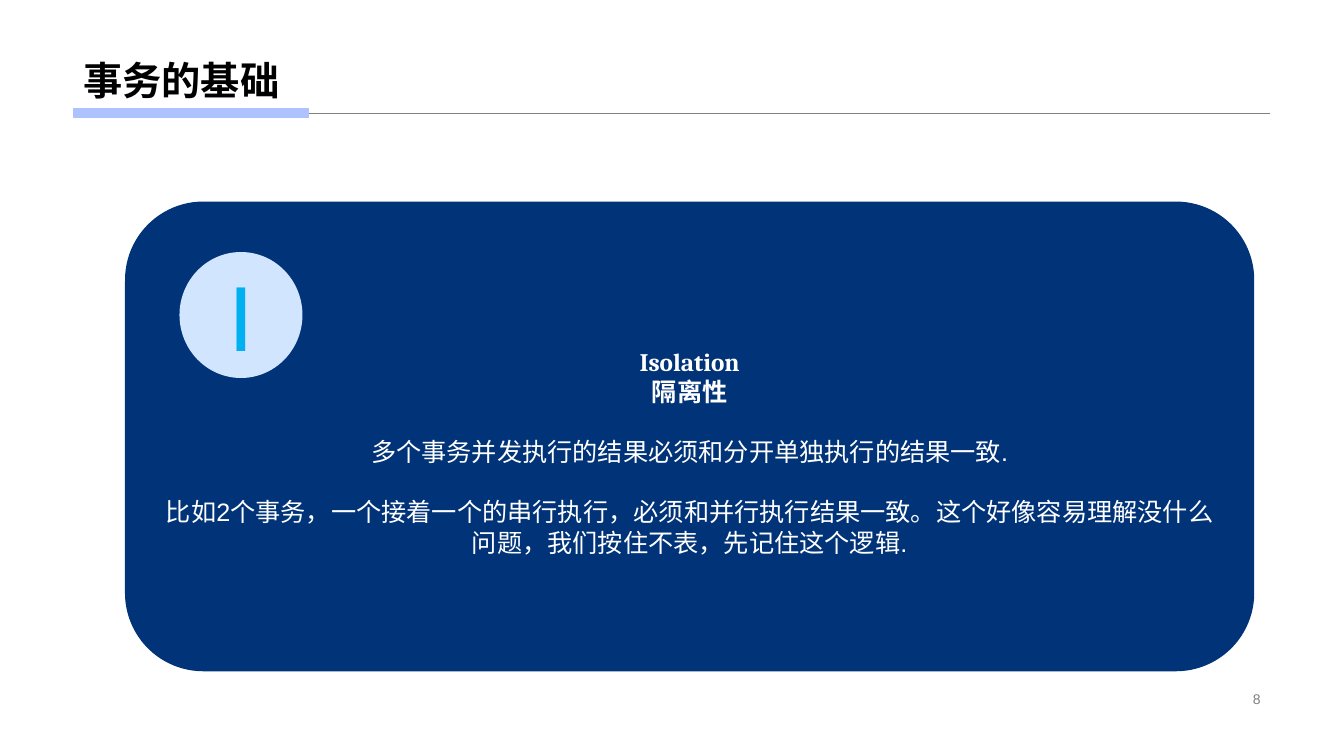
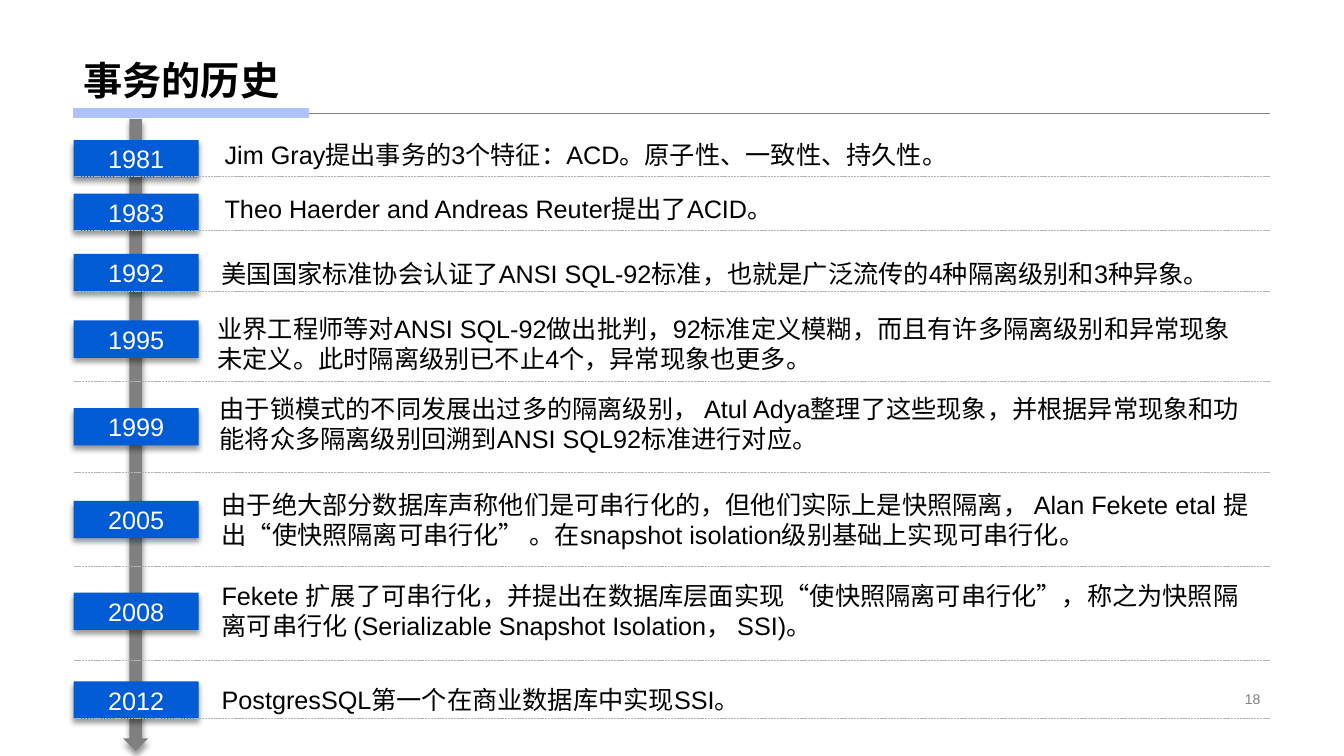
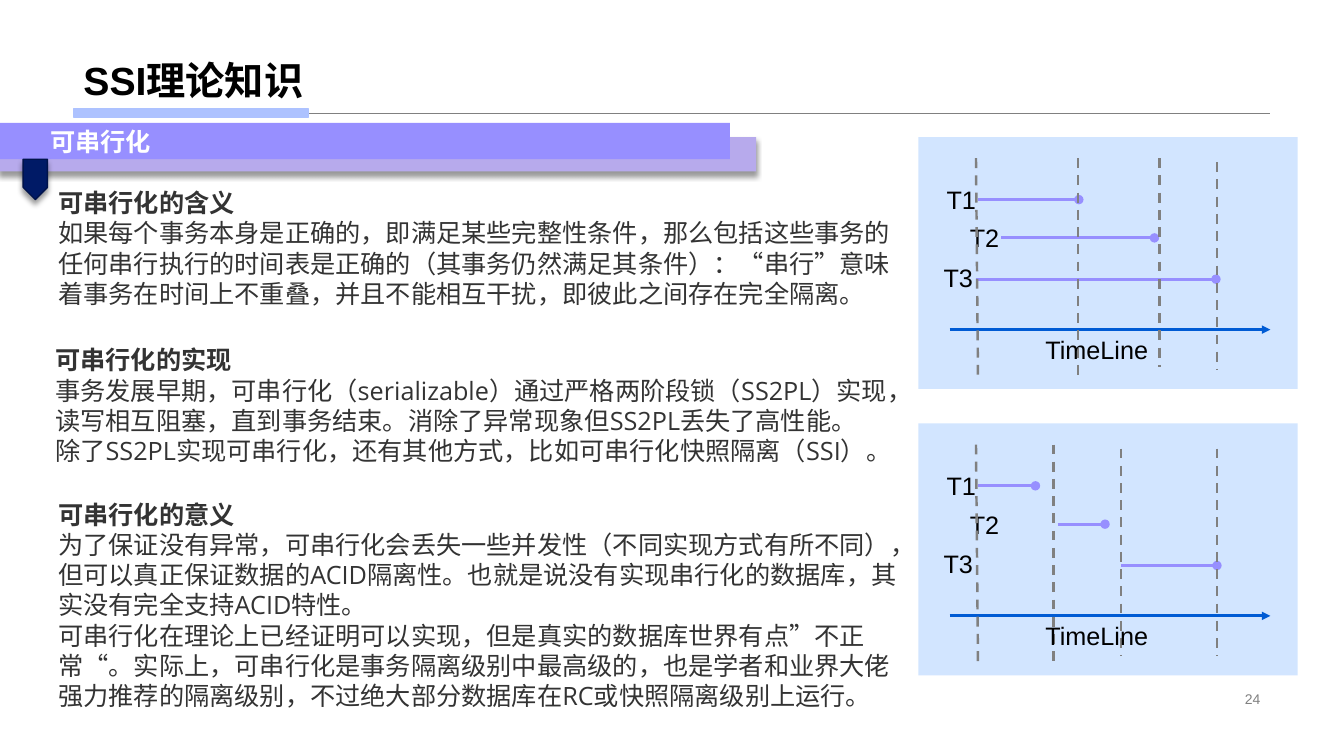
from dataclasses import dataclass

from lxml import etree
from pptx import Presentation
from pptx.dml.color import RGBColor
from pptx.enum.dml import MSO_LINE
from pptx.enum.shapes import MSO_CONNECTOR, MSO_SHAPE
from pptx.enum.text import MSO_ANCHOR, PP_ALIGN
from pptx.oxml.ns import qn
from pptx.util import Inches, Pt

RECT, ROUND_RECT, OVAL = MSO_SHAPE.RECTANGLE, MSO_SHAPE.ROUNDED_RECTANGLE, MSO_SHAPE.OVAL
DOWN_ARROW, PENTAGON = MSO_SHAPE.DOWN_ARROW, MSO_SHAPE.PENTAGON
STRAIGHT = MSO_CONNECTOR.STRAIGHT
DASH, FINE_DASH = MSO_LINE.DASH, MSO_LINE.SQUARE_DOT
TOP, MIDDLE, BOTTOM = MSO_ANCHOR.TOP, MSO_ANCHOR.MIDDLE, MSO_ANCHOR.BOTTOM
LEFT, CENTER, RIGHT = PP_ALIGN.LEFT, PP_ALIGN.CENTER, PP_ALIGN.RIGHT


@dataclass(frozen=True)
class Theme:
    black: str = "000000"
    white: str = "FFFFFF"
    grey: str = "808080"
    pale_grey: str = "B4B4B4"
    body: str = "333333"
    accent: str = "ADC2FF"
    blue: str = "005BD4"
    navy: str = "003378"
    pale_blue: str = "D2E5FF"
    cyan: str = "00B0F0"
    violet: str = "978FFF"
    pale_violet: str = "B7AAEC"
    marker: str = "001A66"
    marker_edge: str = "00134B"
    font: str = "Arial"
    serif: str = "Cambria"
    body_font: str = "Open Sans"
    title_size: int = 28
    text_size: int = 18
    number_size: int = 10
    letter_size: int = 66
    left: float = 0.73
    right: float = 12.6


THEME = Theme()
CONTENT_WIDTH = THEME.right - THEME.left

HISTORY = [  # year, tag top, rule height, text left, text top, event
    ("1981", 1.39, 1.75, 2.13, 1.33,
     "Jim Gray提出事务的3个特征：ACD。原子性、一致性、持久性。"),
    ("1983", 1.92, 2.29, 2.13, 1.87,
     "Theo Haerder and Andreas Reuter提出了ACID。"),
    ("1992", 2.52, 2.89, 2.1, 2.51,
     "美国国家标准协会认证了ANSI SQL-92标准，也就是广泛流传的4种隔离级别和3种异象。"),
    ("1995", 3.18, 3.78, 2.06, 3.06,
     "业界工程师等对ANSI SQL-92做出批判，92标准定义模糊，而且有许多隔离级别和异常现象未定义。"
     "此时隔离级别已不止4个，异常现象也更多。"),
    ("1999", 4.05, 4.69, 2.08, 3.85,
     "由于锁模式的不同发展出过多的隔离级别， Atul Adya整理了这些现象，"
     "并根据异常现象和功能将众多隔离级别回溯到ANSI SQL92标准进行对应。"),
    ("2005", 4.97, 5.62, 2.1, 4.8,
     "由于绝大部分数据库声称他们是可串行化的，但他们实际上是快照隔离， Alan Fekete etal "
     "提出“使快照隔离可串行化” 。在snapshot isolation级别基础上实现可串行化。"),
    ("2008", 5.88, 6.55, 2.1, 5.71,
     "Fekete 扩展了可串行化，并提出在数据库层面实现“使快照隔离可串行化”，"
     "称之为快照隔离可串行化 (Serializable Snapshot Isolation， SSI)。"),
    ("2012", 6.76, 7.13, 2.1, 6.74,
     "PostgresSQL第一个在商业数据库中实现SSI。"),
]

SECTIONS = [  # left, top, height, heading, paragraphs
    (0.48, 1.81, 1.62, "可串行化的含义", [
        "如果每个事务本身是正确的，即满足某些完整性条件，那么包括这些事务的任何串行执行的时间表"
        "是正确的（其事务仍然满足其条件）：“串行”意味着事务在时间上不重叠，并且不能相互干扰，"
        "即彼此之间存在完全隔离。"]),
    (0.45, 3.37, 1.32, "可串行化的实现", [
        "事务发展早期，可串行化（serializable）通过严格两阶段锁（SS2PL）实现，读写相互阻塞，"
        "直到事务结束。消除了异常现象但SS2PL丢失了高性能。",
        "除了SS2PL实现可串行化，还有其他方式，比如可串行化快照隔离（SSI）。"]),
    (0.48, 4.9, 2.22, "可串行化的意义", [
        "为了保证没有异常，可串行化会丢失一些并发性（不同实现方式有所不同），但可以真正保证数据的"
        "ACID隔离性。也就是说没有实现串行化的数据库，其实没有完全支持ACID特性。",
        "可串行化在理论上已经证明可以实现，但是真实的数据库世界有点”不正常“。实际上，可串行化是"
        "事务隔离级别中最高级的，也是学者和业界大佬强力推荐的隔离级别，不过绝大部分数据库在RC"
        "或快照隔离级别上运行。"]),
]

TRANSACTIONS = [  # label, label left, label offset, bar offset
    ("T1", 9.29, 0.42, 0.62),
    ("T2", 9.52, 0.8, 1.0),
    ("T3", 9.26, 1.19, 1.41),
]
ORIGIN_GUIDE = (9.68, 9.7, 0.21, 2.39)  # start x, end x, start and end offsets
LAST_GUIDE = (12.07, 12.07, 0.25, 2.31)
SCHEDULES = [  # panel top, bar spans, guides
    (1.36, [(9.7, 10.7), (9.93, 11.45), (9.68, 12.06)],
     [ORIGIN_GUIDE, (10.69, 10.69, 0.21, 2.39), (11.5, 11.5, 0.21, 2.28), LAST_GUIDE]),
    (4.2, [(9.7, 10.27), (10.49, 10.96), (11.12, 12.07)],
     [ORIGIN_GUIDE, (10.45, 10.45, 0.21, 2.39), (11.12, 11.12, 0.25, 2.31), LAST_GUIDE]),
]


def rgb(value):
    return RGBColor.from_string(value)


def box_of(*lengths):
    return [Inches(length) for length in lengths]


def apply(target, values):
    for name, value in values.items():
        setattr(target, name, value)


def write(frame, texts, color=THEME.black, size=THEME.text_size, font=THEME.font,
          bold=False, align=LEFT, spacing=None, **frame_format):
    """Fill a text frame; an item of texts is a string or (string, font, paragraph formats)."""
    apply(frame, {"word_wrap": True, "vertical_anchor": TOP, **frame_format})
    for index, item in enumerate(texts):
        text, font_format, paragraph_format = (item, {}, {}) if isinstance(item, str) else item
        paragraph = frame.paragraphs[0] if index == 0 else frame.add_paragraph()
        apply(paragraph, {"alignment": align, "line_spacing": spacing, **paragraph_format})
        run = paragraph.add_run()
        run.text = text
        apply(run.font, {"name": font, "size": Pt(size), "bold": bold, **font_format})
        run.font.color.rgb = rgb(color)
        

def add_text(slide, box, texts, **formats):
    write(slide.shapes.add_textbox(*box_of(*box)).text_frame, texts, **formats)


def add_figure(slide, kind, box, fill, edge=None, shadow=False):
    figure = slide.shapes.add_shape(kind, *box_of(*box))
    figure.fill.solid()
    figure.fill.fore_color.rgb = rgb(fill)
    if edge:
        figure.line.color.rgb = rgb(edge)
        figure.line.width = Pt(1)
    else:
        figure.line.fill.background()
    figure.shadow.inherit = False
    if shadow:
        add_shadow(figure)
    return figure


def add_shadow(figure):
    effects = figure._element.spPr.find(qn("a:effectLst"))
    outer = etree.SubElement(effects, qn("a:outerShdw"), blurRad=str(Pt(4)), dist=str(Pt(3)),
                             dir="5400000", algn="t", rotWithShape="0")
    color = etree.SubElement(outer, qn("a:srgbClr"), val=THEME.black)
    etree.SubElement(color, qn("a:alpha"), val="40000")


def add_line(slide, start, end, color, width, dash=None, tail=None):
    line = slide.shapes.add_connector(STRAIGHT, *box_of(*start, *end))
    line.line.color.rgb = rgb(color)
    apply(line.line, {"width": Pt(width), "dash_style": dash})
    properties = line._element.spPr
    if tail:
        etree.SubElement(properties.find(qn("a:ln")), qn("a:tailEnd"), type=tail)
    etree.SubElement(properties, qn("a:effectLst"))


def start_slide(deck, title, number):
    """Add a blank slide with the shared title, underline and page number."""
    slide = deck.slides.add_slide(deck.slide_layouts[6])
    add_line(slide, (THEME.left, 1.12), (THEME.right, 1.12), THEME.grey, 0.25)
    add_figure(slide, RECT, (THEME.left, 1.08, 2.33, 0.08), THEME.accent, edge=THEME.accent)
    add_text(slide, (THEME.left, 0.43, CONTENT_WIDTH, 0.64), [title], size=THEME.title_size,
             bold=True, spacing=1.1, vertical_anchor=BOTTOM)
    add_text(slide, (9.42, 6.82, 3.18, 0.23), [str(number)], color=THEME.grey,
             size=THEME.number_size, align=RIGHT, vertical_anchor=MIDDLE)
    return slide


def add_isolation_card(slide):
    card = add_figure(slide, ROUND_RECT, (1.24, 2, 11.2, 4.66), THEME.navy)
    heading = {"name": THEME.serif, "bold": True}
    gap = {"space_before": Pt(21.5)}
    write(card.text_frame, [
        ("Isolation", heading, {}),
        ("隔离性", heading, {}),
        ("多个事务并发执行的结果必须和分开单独执行的结果一致.", {}, gap),
        ("比如2个事务，一个接着一个的串行执行，必须和并行执行结果一致。"
         "这个好像容易理解没什么问题，我们按住不表，先记住这个逻辑.", {}, gap),
    ], color=THEME.white, align=CENTER, vertical_anchor=MIDDLE, margin_top=Inches(0.35))
    # The English heading sits a little left of the centre line.
    first = card.text_frame.paragraphs[0]._p.get_or_add_pPr()
    first.set("marL", "0")
    first.set("indent", str(Inches(-0.5)))
    badge = add_figure(slide, OVAL, (1.78, 2.5, 1.22, 1.25), THEME.pale_blue)
    write(badge.text_frame, ["I"], color=THEME.cyan, size=THEME.letter_size,
          align=CENTER, vertical_anchor=MIDDLE)


def add_history(slide):
    add_figure(slide, DOWN_ARROW, (1.22, 1.18, 0.25, 6.27), THEME.grey, shadow=True)
    for year, tag_top, rule, text_left, text_top, event in HISTORY:
        tag = add_figure(slide, RECT, (THEME.left, tag_top, 1.24, 0.37), THEME.blue, shadow=True)
        write(tag.text_frame, [year], color=THEME.white, align=CENTER, vertical_anchor=MIDDLE)
        add_line(slide, (THEME.left, rule), (THEME.right, rule), THEME.pale_grey, 0.5, FINE_DASH)
        add_text(slide, (text_left, text_top, 10.47, 0.71), [event])


def add_banner(slide, text):
    add_figure(slide, RECT, (-0.01, 1.36, 7.51, 0.34), THEME.pale_violet, shadow=True)
    band = add_figure(slide, RECT, (0, 1.22, 7.24, 0.36), THEME.violet)
    write(band.text_frame, [text], color=THEME.white, bold=True,
          vertical_anchor=MIDDLE, margin_left=Inches(0.5))
    marker = add_figure(slide, PENTAGON, (0.15, 1.66, 0.4, 0.24), THEME.marker,
                        edge=THEME.marker_edge, shadow=True)
    marker.rotation = 90


def add_schedule(slide, top, spans, guides):
    """Draw one panel with transaction bars above a time axis."""
    add_figure(slide, RECT, (9.11, top, 3.76, 2.5), THEME.pale_blue)
    axis = top + 1.91
    add_line(slide, (9.42, axis), (THEME.right, axis), THEME.blue, 2, tail="triangle")
    for (label, label_left, label_offset, offset), (start, end) in zip(TRANSACTIONS, spans):
        add_line(slide, (start, top + offset), (end, top + offset), THEME.violet, 2.25, tail="oval")
        add_text(slide, (label_left, top + label_offset, 0.5, 0.4), [label], word_wrap=False)
    for start, end, upper, lower in guides:
        add_line(slide, (start, top + upper), (end, top + lower), THEME.grey, 1.75, DASH)
    add_text(slide, (10.27, axis, 1.23, 0.4), ["TimeLine"], word_wrap=False)


def main():
    deck = Presentation()
    deck.slide_width, deck.slide_height = box_of(13.33, 7.5)

    add_isolation_card(start_slide(deck, "事务的基础", 8))
    add_history(start_slide(deck, "事务的历史", 18))

    theory = start_slide(deck, "SSI理论知识", 24)
    add_banner(theory, "可串行化")
    for left, top, height, heading, paragraphs in SECTIONS:
        add_text(theory, (left, top, 8.64, height), [(heading, {"bold": True}, {}), *paragraphs],
                 color=THEME.body, font=THEME.body_font)
    for top, spans, guides in SCHEDULES:
        add_schedule(theory, top, spans, guides)

    deck.save("out.pptx")


if __name__ == "__main__":
    main()
